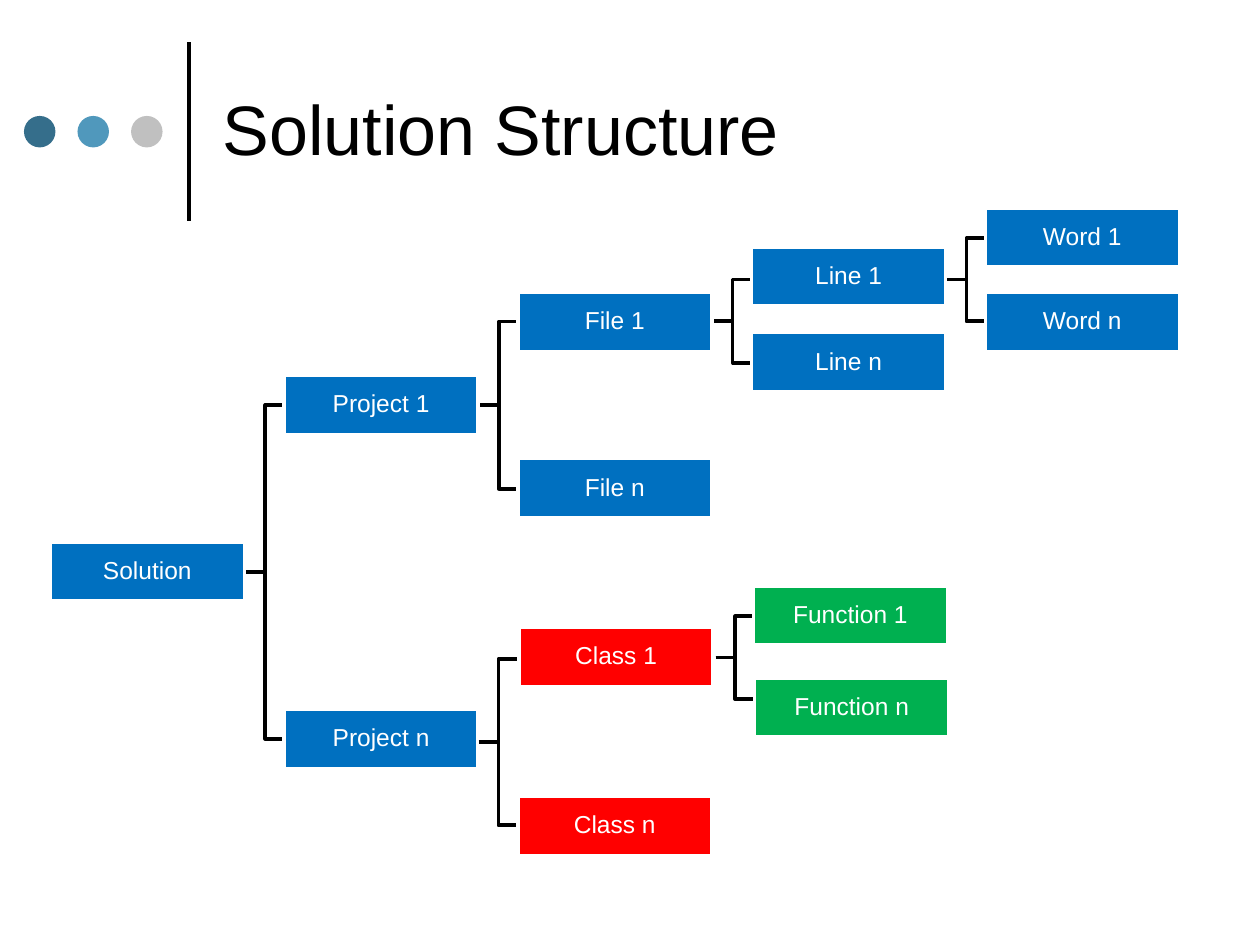
from dataclasses import dataclass

from lxml.etree import SubElement
from pptx import Presentation
from pptx.dml.color import RGBColor
from pptx.enum.shapes import MSO_CONNECTOR as Connector, MSO_SHAPE as Preset
from pptx.enum.text import MSO_ANCHOR as Anchor, PP_ALIGN as Align
from pptx.oxml.ns import qn
from pptx.util import Inches, Pt


@dataclass(frozen=True)
class Theme:
    font: str = "Arial"
    title_size: int = 40
    node_size: int = 14
    line_width: int = 2
    black: str = "000000"
    white: str = "FFFFFF"
    blue: str = "0070C0"
    red: str = "FF0000"
    green: str = "00B050"
    dots: tuple = ("356E8B", "5098BC", "C0C0C0")


THEME = Theme()
NODE_WIDTH, NODE_HEIGHT = 1.54, 0.47
COLUMN_PITCH = 1.855
BRACKET_WIDTH = 0.31


def color(value):
    return RGBColor.from_string(value)


def style_line(line, value):
    line.color.rgb = color(value)
    line.width = Pt(THEME.line_width)


def write_text(shape, text, *, size, value, align=Align.LEFT, spacing=1.0, inset=None):
    frame = shape.text_frame
    frame.word_wrap = True
    frame.vertical_anchor = Anchor.MIDDLE
    if inset is not None:
        frame.margin_left = frame.margin_right = Inches(inset)
        frame.margin_top = frame.margin_bottom = Inches(inset)
    paragraph = frame.paragraphs[0]
    paragraph.alignment = align
    paragraph.line_spacing = spacing
    run = paragraph.add_run()
    run.text = text
    run.font.name = THEME.font
    run.font.size = Pt(size)
    run.font.color.rgb = color(value)


def add_preset(slide, preset, left, top, width, height, fill):
    shape = slide.shapes.add_shape(
        preset, Inches(left), Inches(top), Inches(width), Inches(height))
    shape.shadow.inherit = False
    shape.fill.solid()
    shape.fill.fore_color.rgb = color(fill)
    shape.line.fill.background()
    return shape


def add_bracket(slide, left, middle, rise):
    for end in (middle + rise, middle - rise):
        elbow = left + BRACKET_WIDTH / 2
        points = [(elbow, middle), (elbow, end), (left + BRACKET_WIDTH, end)]
        builder = slide.shapes.build_freeform(Inches(left), Inches(middle))
        builder.add_line_segments(
            [(Inches(x), Inches(y)) for x, y in points], close=False)
        shape = builder.convert_to_shape()
        shape.shadow.inherit = False
        shape.fill.background()
        style_line(shape.line, THEME.black)


def add_node(slide, text, left, top, fill):
    shape = add_preset(slide, Preset.RECTANGLE, left, top, NODE_WIDTH, NODE_HEIGHT, fill)
    style_line(shape.line, THEME.white)
    write_text(shape, text, size=THEME.node_size, value=THEME.white,
               align=Align.CENTER, spacing=0.9, inset=0.01)


def add_header(slide, left, top, width, height):
    rule_left = left + 1.31
    rule = slide.shapes.add_connector(
        Connector.STRAIGHT, Inches(rule_left), Inches(top + 1.54),
        Inches(rule_left), Inches(top + 0.12))
    style_line(rule.line, THEME.black)
    SubElement(rule._element.spPr, qn("a:effectLst"))
    for index, fill in enumerate(THEME.dots):
        add_preset(slide, Preset.OVAL, left + index * 0.425, top + 0.71, 0.25, 0.25, fill)
    title_offset = 1.48
    title = slide.shapes.add_textbox(
        Inches(left + title_offset), Inches(top),
        Inches(width - title_offset), Inches(height))
    write_text(title, "Solution Structure", size=THEME.title_size,
               value=THEME.black, spacing=0.95)


def add_file_tree(slide, left, top):
    brackets = [(3, 0.57, 0.33), (2, 0.9, 0.33), (0, 2.89, 1.325), (1, 1.565, 0.665)]
    for column, middle, rise in brackets:
        add_bracket(slide, left + column * COLUMN_PITCH + NODE_WIDTH + 0.01,
                    top + middle, rise)
    nodes = [
        ("Solution", 0, 2.65), ("Project 1", 1, 1.33), ("File 1", 2, 0.67),
        ("Line 1", 3, 0.31), ("File n", 2, 1.99), ("Project n", 1, 3.98),
        ("Word 1", 4, 0), ("Word n", 4, 0.67), ("Line n", 3, 0.99),
    ]
    for text, column, offset in nodes:
        add_node(slide, text, left + column * COLUMN_PITCH, top + offset, THEME.blue)


def add_class_tree(slide, left, top):
    add_bracket(slide, left, top + 1.24, 0.66)
    add_bracket(slide, left + 1.88, top + 0.57, 0.33)
    nodes = [
        ("Class 1", 0.32, 0.33, THEME.red), ("Class n", 0.31, 1.67, THEME.red),
        ("Function 1", 2.18, 0, THEME.green), ("Function n", 2.19, 0.73, THEME.green),
    ]
    for text, x, y, fill in nodes:
        add_node(slide, text, left + x, top + y, fill)


def main():
    presentation = Presentation()
    presentation.slide_width = Inches(10)
    presentation.slide_height = Inches(7.5)
    slide = presentation.slides.add_slide(presentation.slide_layouts[6])
    add_header(slide, 0.19, 0.21, 9.15, 1.67)
    add_file_tree(slide, 0.4, 1.65)
    add_class_tree(slide, 3.8, 4.65)
    presentation.save("out.pptx")


if __name__ == "__main__":
    main()
